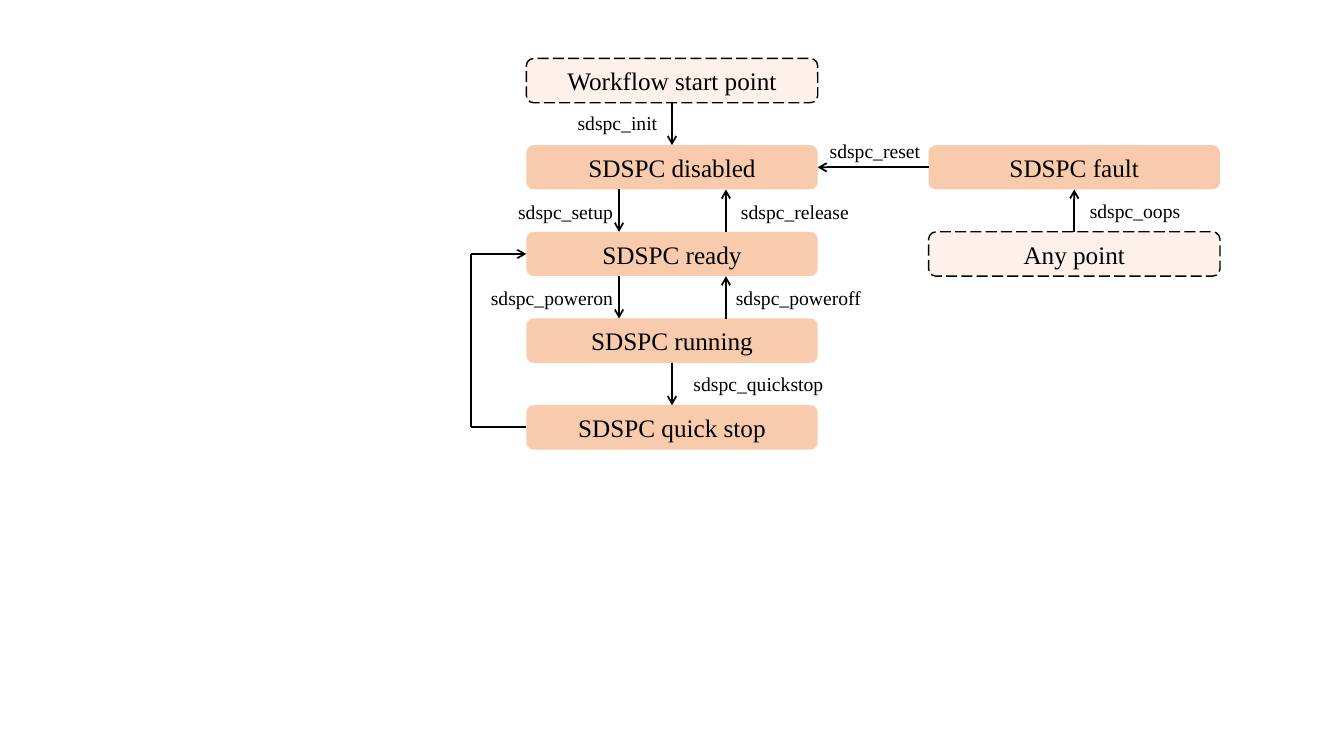
from dataclasses import dataclass
from typing import NamedTuple

from lxml.etree import SubElement
from pptx import Presentation
from pptx.dml.color import RGBColor as RGB
from pptx.enum.dml import MSO_LINE_DASH_STYLE as Dash
from pptx.enum.shapes import MSO_CONNECTOR as Connector, MSO_SHAPE as Shape
from pptx.enum.text import MSO_ANCHOR as Anchor, MSO_AUTO_SIZE as AutoSize, PP_ALIGN as Align
from pptx.oxml.ns import qn
from pptx.shapes.autoshape import Shape as AutoShape
from pptx.slide import Slide
from pptx.text.text import _Paragraph as Paragraph
from pptx.util import Inches, Pt


@dataclass(frozen=True)
class Theme:
    font: str = "Times New Roman"
    ink: RGB = RGB(0x00, 0x00, 0x00)
    accent: RGB = RGB(0xED, 0x7D, 0x31)
    state_opacity: int = 40
    entry_opacity: int = 10
    state_size: int = 18
    label_size: int = 14
    border: float = 1
    arrow: float = 1.25


THEME = Theme()

BOX_W, BOX_H = 2.89, 0.44
TOP, ROW_STEP = 0.58, 0.86
MAIN_X, FAULT_X = 5.22, 9.21
DOWN_X, UP_X = 6.14, 7.2
LOOP_X = 4.67
TOP_SITE, LEFT, BOTTOM, RIGHT = range(4)


@dataclass(frozen=True)
class State:
    text: str
    x: float
    row: int
    entry: bool = False

    @property
    def y(self) -> float:
        return TOP + self.row * ROW_STEP

    @property
    def bottom(self) -> float:
        return self.y + BOX_H

    @property
    def middle(self) -> float:
        return self.y + BOX_H / 2


class Point(NamedTuple):
    x: float
    y: float


class Port(NamedTuple):
    state: State
    site: int

    @property
    def point(self) -> Point:
        s = self.state
        return (
            Point(s.x + BOX_W / 2, s.y),
            Point(s.x, s.middle),
            Point(s.x + BOX_W / 2, s.bottom),
            Point(s.x + BOX_W, s.middle),
        )[self.site]


@dataclass(frozen=True)
class Link:
    start: Point | Port
    end: Point | Port
    head: bool = True


@dataclass(frozen=True)
class Label:
    text: str
    x: float
    y: float
    width: float


START = State("Workflow start point", MAIN_X, 0, entry=True)
DISABLED = State("SDSPC disabled", MAIN_X, 1)
READY = State("SDSPC ready", MAIN_X, 2)
RUNNING = State("SDSPC running", MAIN_X, 3)
QUICK_STOP = State("SDSPC quick stop", MAIN_X, 4)
FAULT = State("SDSPC fault", FAULT_X, 1)
ANY_POINT = State("Any point", FAULT_X, 2, entry=True)
STATES = (START, DISABLED, READY, RUNNING, QUICK_STOP, FAULT, ANY_POINT)

LOOP_BOTTOM = Point(LOOP_X, QUICK_STOP.middle)
LOOP_TOP = Point(LOOP_X, READY.middle)
TWO_WAY = ((DISABLED, READY), (READY, RUNNING))
LINKS = (
    Link(Port(QUICK_STOP, LEFT), LOOP_BOTTOM, head=False),
    Link(LOOP_BOTTOM, LOOP_TOP, head=False),
    Link(LOOP_TOP, Port(READY, LEFT)),
    Link(Port(START, BOTTOM), Port(DISABLED, TOP_SITE)),
    *(Link(Point(DOWN_X, a.bottom), Point(DOWN_X, b.y)) for a, b in TWO_WAY),
    Link(Port(RUNNING, BOTTOM), Port(QUICK_STOP, TOP_SITE)),
    *(Link(Point(UP_X, b.y), Point(UP_X, a.bottom)) for a, b in TWO_WAY),
    Link(Port(FAULT, LEFT), Port(DISABLED, RIGHT)),
    Link(Port(ANY_POINT, TOP_SITE), Port(FAULT, BOTTOM)),
)

LABEL_H = 0.34
LABELS = (
    Label("sdspc_init", 5.63, 1.05, 1.02),
    Label("sdspc_setup", 5.04, 1.93, 1.15),
    Label("sdspc_poweron", 4.77, 2.79, 1.43),
    Label("sdspc_poweroff", 7.2, 2.79, 1.45),
    Label("sdspc_quickstop", 6.78, 3.64, 1.5),
    Label("sdspc_release", 7.25, 1.93, 1.29),
    Label("sdspc_oops", 10.71, 1.92, 1.11),
    Label("sdspc_reset", 8.13, 1.33, 1.11),
)


def write(p: Paragraph, text: str, size: int, align: Align) -> None:
    p.text = text
    p.alignment = align
    p.font.name = THEME.font
    p.font.size = Pt(size)
    p.font.color.rgb = THEME.ink


def add_state(slide: Slide, state: State) -> AutoShape:
    sp = slide.shapes.add_shape(
        Shape.ROUNDED_RECTANGLE,
        Inches(state.x), Inches(state.y), Inches(BOX_W), Inches(BOX_H),
    )
    sp.shadow.inherit = False
    sp.fill.solid()
    sp.fill.fore_color.rgb = THEME.accent
    opacity = THEME.entry_opacity if state.entry else THEME.state_opacity
    color = sp._element.spPr.find(qn("a:solidFill")).find(qn("a:srgbClr"))
    SubElement(color, qn("a:alpha"), val=str(opacity * 1000))
    if state.entry:
        sp.line.color.rgb = THEME.ink
        sp.line.width = Pt(THEME.border)
        sp.line.dash_style = Dash.LONG_DASH
    else:
        sp.line.fill.background()
    tf = sp.text_frame
    tf.vertical_anchor = Anchor.MIDDLE
    write(tf.paragraphs[0], state.text, THEME.state_size, Align.CENTER)
    return sp


def add_link(slide: Slide, link: Link, boxes: dict[State, AutoShape]) -> None:
    """Draw a straight line, joined to a box wherever its end is a port."""
    a, b = (e.point if isinstance(e, Port) else e for e in (link.start, link.end))
    line = slide.shapes.add_connector(
        Connector.STRAIGHT, Inches(a.x), Inches(a.y), Inches(b.x), Inches(b.y)
    )
    if isinstance(link.start, Port):
        line.begin_connect(boxes[link.start.state], link.start.site)
    if isinstance(link.end, Port):
        line.end_connect(boxes[link.end.state], link.end.site)
    line.line.color.rgb = THEME.ink
    line.line.width = Pt(THEME.arrow)
    if link.head:
        SubElement(line.line._get_or_add_ln(), qn("a:tailEnd"), type="arrow")
    SubElement(line._element.spPr, qn("a:effectLst"))


def add_label(slide: Slide, label: Label) -> None:
    tf = slide.shapes.add_textbox(
        Inches(label.x), Inches(label.y), Inches(label.width), Inches(LABEL_H)
    ).text_frame
    tf.word_wrap = False
    tf.auto_size = AutoSize.SHAPE_TO_FIT_TEXT
    write(tf.paragraphs[0], label.text, THEME.label_size, Align.LEFT)


def main() -> None:
    prs = Presentation()
    prs.slide_width, prs.slide_height = Inches(13.33), Inches(7.5)
    slide = prs.slides.add_slide(prs.slide_layouts[6])
    boxes = {state: add_state(slide, state) for state in STATES}
    for link in LINKS:
        add_link(slide, link, boxes)
    for label in LABELS:
        add_label(slide, label)
    prs.save("out.pptx")


if __name__ == "__main__":
    main()
